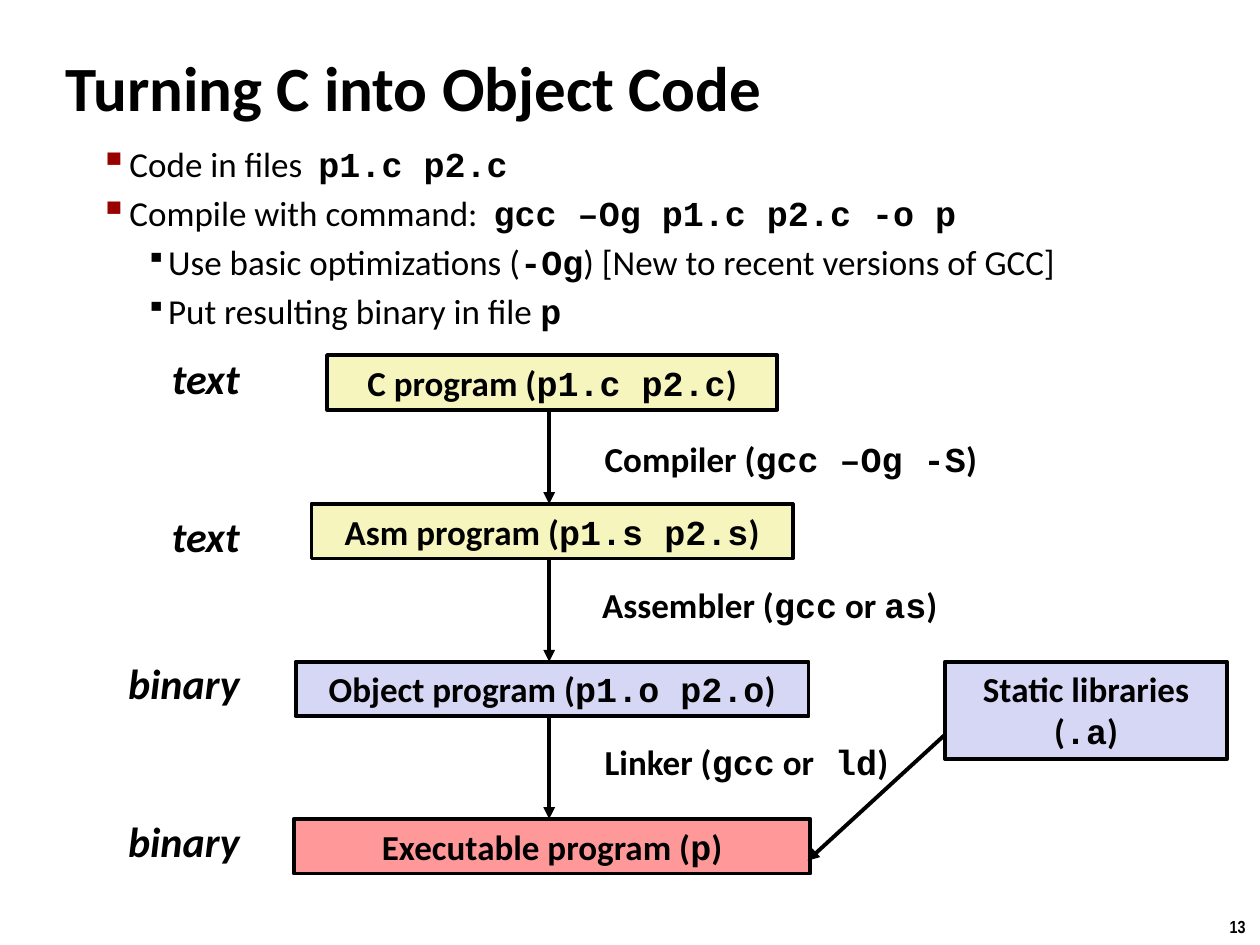
from collections import namedtuple
from dataclasses import dataclass

import pptx
import pptx.dml.color
import pptx.enum.shapes
import pptx.enum.text
import pptx.oxml
import pptx.oxml.ns
import pptx.util
from lxml import etree

Cm = pptx.util.Cm
Pt = pptx.util.Pt
Align = pptx.enum.text.PP_ALIGN
Anchor = pptx.enum.text.MSO_ANCHOR
Box = namedtuple("Box", "left top width height")


@dataclass(frozen=True)
class Theme:
    prose: str = "Calibri"
    code: str = "Courier New"
    number: str = "Arial Narrow"
    ink: str = "000000"
    accent: str = "990000"
    text_fill: str = "F6F5BD"
    binary_fill: str = "D6D6F5"
    program_fill: str = "FF9999"
    title_size: int = 36
    label_size: int = 24
    body_size: int = 20
    number_size: int = 10
    line_width: float = 2.25


THEME = Theme()


def rgb(value):
    return pptx.dml.color.RGBColor.from_string(value)


def write_text(paragraph, text, size=THEME.body_size, font=THEME.prose,
               bold=True, italic=False, align=Align.LEFT):
    paragraph.alignment = align
    for index, part in enumerate(text.split("`")):
        if not part:
            continue
        is_code = index % 2 == 1
        run = paragraph.add_run()
        run.text = part
        run.font.name = THEME.code if is_code else font
        run.font.size = Pt(size)
        run.font.bold = bold or is_code
        run.font.italic = italic
        run.font.color.rgb = rgb(THEME.ink)


def add_text(slide, box, text, wrap=True, anchor=Anchor.TOP, **text_format):
    shape = slide.shapes.add_textbox(*map(Cm, box))
    shape.text_frame.word_wrap = wrap
    shape.text_frame.vertical_anchor = anchor
    write_text(shape.text_frame.paragraphs[0], text, **text_format)


def add_stage(slide, box, text, fill):
    shape = slide.shapes.add_shape(
        pptx.enum.shapes.MSO_SHAPE.RECTANGLE, *map(Cm, box))
    shape.shadow.inherit = False
    shape.fill.solid()
    shape.fill.fore_color.rgb = rgb(fill)
    shape.line.color.rgb = rgb(THEME.ink)
    shape.line.width = Pt(THEME.line_width)
    shape.text_frame.word_wrap = True
    shape.text_frame.vertical_anchor = Anchor.TOP
    write_text(shape.text_frame.paragraphs[0], text, align=Align.CENTER)


def add_arrow(slide, start, end):
    connector = slide.shapes.add_connector(
        pptx.enum.shapes.MSO_CONNECTOR.STRAIGHT, *map(Cm, (*start, *end)))
    connector.line.color.rgb = rgb(THEME.ink)
    connector.line.width = Pt(THEME.line_width)
    qn = pptx.oxml.ns.qn
    properties = connector._element.spPr
    etree.SubElement(properties.find(qn("a:ln")), qn("a:tailEnd"), type="triangle")
    etree.SubElement(properties, qn("a:effectLst"))


def add_bullet(paragraph, margin, hanging, percent, color):
    qn = pptx.oxml.ns.qn
    properties = paragraph._p.get_or_add_pPr()
    properties.set("marL", str(Cm(margin)))
    properties.set("indent", str(-Cm(hanging)))
    bullet_color = etree.SubElement(properties, qn("a:buClr"))
    etree.SubElement(bullet_color, qn("a:srgbClr"), val=color)
    etree.SubElement(properties, qn("a:buSzPct"), val=str(percent * 1000))
    etree.SubElement(properties, qn("a:buChar"), char="▪")


def draw_bullets(slide, box):
    levels = {
        1: dict(margin=1.55, hanging=0.6, percent=110, color=THEME.accent),
        2: dict(margin=2.33, hanging=0.45, percent=80, color=THEME.ink),
    }
    items = [
        (1, "Code in files  `p1.c p2.c`"),
        (1, "Compile with command:  `gcc –Og p1.c p2.c -o p`"),
        (2, "Use basic optimizations (`-Og`) [New to recent versions of GCC]"),
        (2, "Put resulting binary in file `p`"),
    ]
    frame = slide.shapes.add_textbox(*map(Cm, box)).text_frame
    frame.word_wrap = True
    for index, (level, text) in enumerate(items):
        paragraph = frame.add_paragraph() if index else frame.paragraphs[0]
        paragraph.level = level
        add_bullet(paragraph, **levels[level])
        if index:
            paragraph.space_before = Pt(4)
        write_text(paragraph, text, bold=False)


def draw_pipeline(slide, box):
    stage_height = 1.1
    center = box.left + 8.82
    arrow_x = center - 0.06
    stages = [
        (0, 9.07, "C program (`p1.c p2.c`)", THEME.text_fill),
        (3, 9.7, "Asm program (`p1.s p2.s`)", THEME.text_fill),
        (6.18, 10.34, "Object program (`p1.o p2.o`)", THEME.binary_fill),
        (9.35, 10.41, "Executable program (`p`)", THEME.program_fill),
    ]
    kinds = [(-0.17, "text"), (3, "text"), (5.97, "binary"), (9.15, "binary")]
    tools = [
        (0.87, 1.53, "Compiler (`gcc –Og -S`)"),
        (0.82, 4.47, "Assembler (`gcc` or `as`)"),
        (0.87, 7.65, "Linker (`gcc` or` ld`)"),
    ]
    for offset, kind in kinds:
        add_text(slide, Box(box.left - 0.3, box.top + offset, 3.07, 1.27), kind,
                 size=THEME.label_size, italic=True, align=Align.RIGHT)
    for shift, offset, tool in tools:
        add_text(slide, Box(arrow_x + shift, box.top + offset, 8.45, stage_height), tool)
    for offset, width, text, fill in stages:
        add_stage(slide, Box(center - width / 2, box.top + offset, width, stage_height),
                  text, fill)
    for upper, lower in zip(stages, stages[1:]):
        add_arrow(slide, (arrow_x, box.top + upper[0] + stage_height),
                  (arrow_x, box.top + lower[0]))


def draw_libraries(slide, box):
    add_stage(slide, box, "Static libraries (`.a`)", THEME.binary_fill)
    add_arrow(slide, (box.left, box.top + 1.47), (box.left - 2.77, box.top + 4.01))


def main():
    presentation = pptx.Presentation()
    presentation.slide_width = Cm(25.4)
    presentation.slide_height = Cm(19.05)
    slide = presentation.slides.add_slide(presentation.slide_layouts[6])
    add_text(slide, Box(1.07, 0.94, 19.43, 1.6), "Turning C into Object Code",
             size=THEME.title_size, anchor=Anchor.MIDDLE)
    draw_bullets(slide, Box(0.81, 2.74, 23.09, 4.06))
    draw_pipeline(slide, Box(2.31, 7.16, 14.03, 10.45))
    draw_libraries(slide, Box(19.05, 13.34, 5.69, 1.96))
    add_text(slide, Box(24.54, 18.34, 0.86, 0.69), "13", wrap=False,
             size=THEME.number_size, font=THEME.number)
    presentation.save("out.pptx")


if __name__ == "__main__":
    main()
